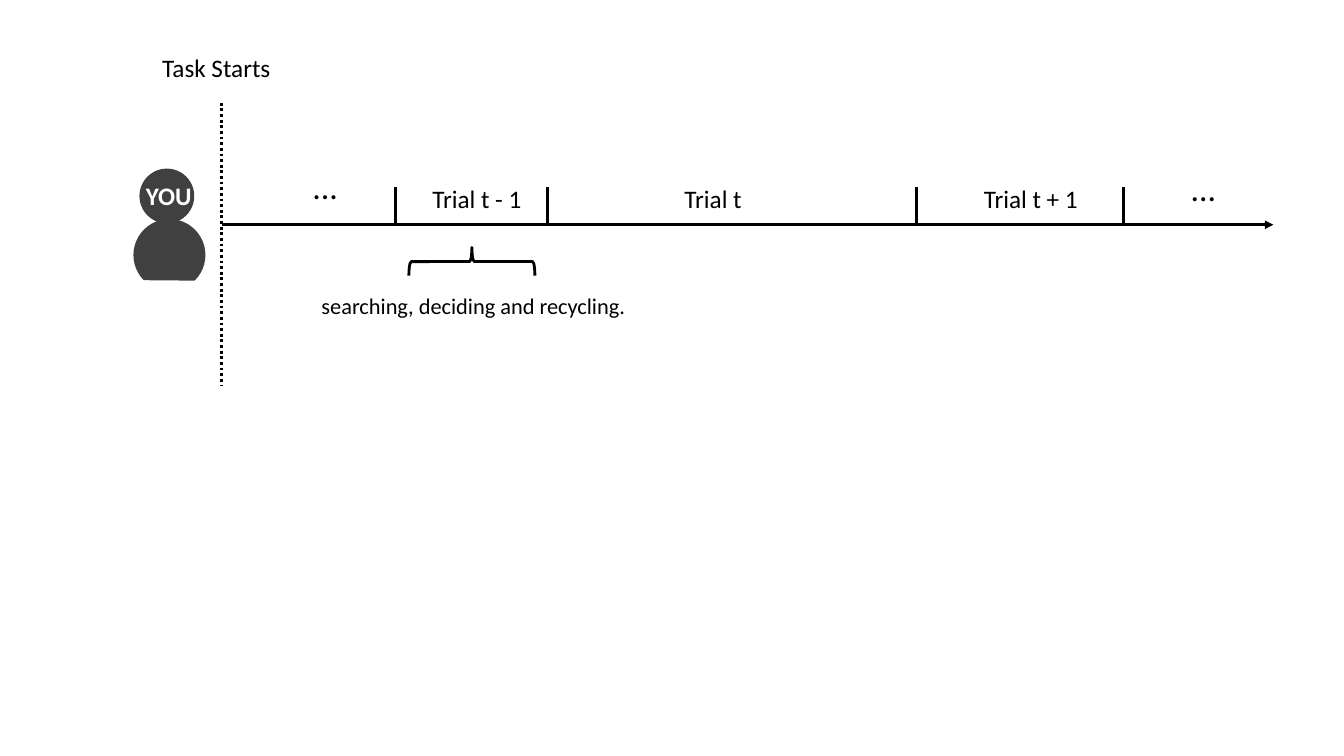
from dataclasses import dataclass

from lxml import etree
from pptx import Presentation
from pptx import util as u
from pptx.dml.color import RGBColor
from pptx.enum import dml, shapes
from pptx.oxml import ns


@dataclass(frozen=True)
class Theme:
    font: str = "Calibri"
    ink: RGBColor = RGBColor(0, 0, 0)
    figure: RGBColor = RGBColor(0x40, 0x40, 0x40)
    light: RGBColor = RGBColor(255, 255, 255)
    label: int = 18
    caption: int = 16
    dots: int = 24
    line: int = 2


THEME = Theme()


def add_label(s, x, y, w, h, words, size=THEME.label, color=THEME.ink, bold=False):
    sp = s.shapes.add_textbox(u.Inches(x), u.Inches(y), u.Inches(w), u.Inches(h))
    tf = sp.text_frame
    tf.word_wrap = True
    p = tf.paragraphs[0]
    p.text = words
    p.font.name = THEME.font
    p.font.size = u.Pt(size)
    p.font.bold = bold
    p.font.color.rgb = color


def add_line(s, x1, y1, x2, y2):
    line = s.shapes.add_connector(
        shapes.MSO_CONNECTOR.STRAIGHT,
        u.Inches(x1), u.Inches(y1), u.Inches(x2), u.Inches(y2))
    line.line.color.rgb = THEME.ink
    line.line.width = u.Pt(THEME.line)
    etree.SubElement(line._element.spPr, ns.qn("a:effectLst"))
    return line


def add_shape(s, kind, x, y, w, h, color, width, filled=True, rotation=0):
    sp = s.shapes.add_shape(
        kind, u.Inches(x), u.Inches(y), u.Inches(w), u.Inches(h))
    sp.shadow.inherit = False
    sp.rotation = rotation
    sp.line.color.rgb = color
    sp.line.width = u.Pt(width)
    if filled:
        sp.fill.solid()
        sp.fill.fore_color.rgb = color
    else:
        sp.fill.background()
    return sp


def add_start(s, x, y, height):
    """Dotted start line with its heading above."""
    line = add_line(s, x, y, x, y + height)
    line.line.dash_style = dml.MSO_LINE.ROUND_DOT
    add_label(s, x - 0.69, y - 0.55, 1.52, 0.4, "Task Starts")


def add_person(s, x, y):
    """Head and shoulders, with the name on the head."""
    add_shape(s, shapes.MSO_SHAPE.OVAL, x + 0.06, y, 0.53, 0.53, THEME.figure, 1)
    body = add_shape(s, shapes.MSO_SHAPE.CHORD, x, y + 0.5, 0.7, 0.7,
                     THEME.figure, 1, rotation=135)
    body.adjustments[0] = 0.59
    body.adjustments[1] = 162
    add_label(s, x + 0.02, y + 0.06, 0.84, 0.4, "YOU", color=THEME.light, bold=True)


def add_timeline(s, x, y, width):
    """Arrow with trial boundaries, trial names and a brace under one trial."""
    axis = add_line(s, x, y, x + width, y)
    etree.SubElement(axis.line._get_or_add_ln(), ns.qn("a:tailEnd"), type="triangle")

    # Trial boundaries
    for offset in (1.72, 3.23, 6.89, 8.94):
        add_line(s, x + offset, y - 0.37, x + offset, y)

    # Trial names
    for offset, w, name in ((1.99, 1.16, "Trial t - 1"),
                            (4.49, 0.8, "Trial t"),
                            (7.46, 1.37, "Trial t + 1")):
        add_label(s, x + offset, y - 0.46, w, 0.4, name)
    for offset, rise in ((0.8, 0.63), (9.51, 0.61)):
        add_label(s, x + offset, y - rise, 0.92, 0.5, "...", THEME.dots)

    # Brace and caption
    add_shape(s, shapes.MSO_SHAPE.LEFT_BRACE, x + 2.34, y - 0.26, 0.28, 1.25,
              THEME.ink, THEME.line, filled=False, rotation=90)
    add_label(s, x + 0.89, y + 0.62, 4.69, 0.37,
              "searching, deciding and recycling.", THEME.caption)


def main():
    prs = Presentation()
    prs.slide_width, prs.slide_height = u.Inches(13.33), u.Inches(7.5)
    s = prs.slides.add_slide(prs.slide_layouts[6])
    add_start(s, 2.2, 1.02, 2.8)
    add_person(s, 1.33, 1.68)
    add_timeline(s, 2.2, 2.23, 10.43)
    prs.save("out.pptx")


if __name__ == "__main__":
    main()
